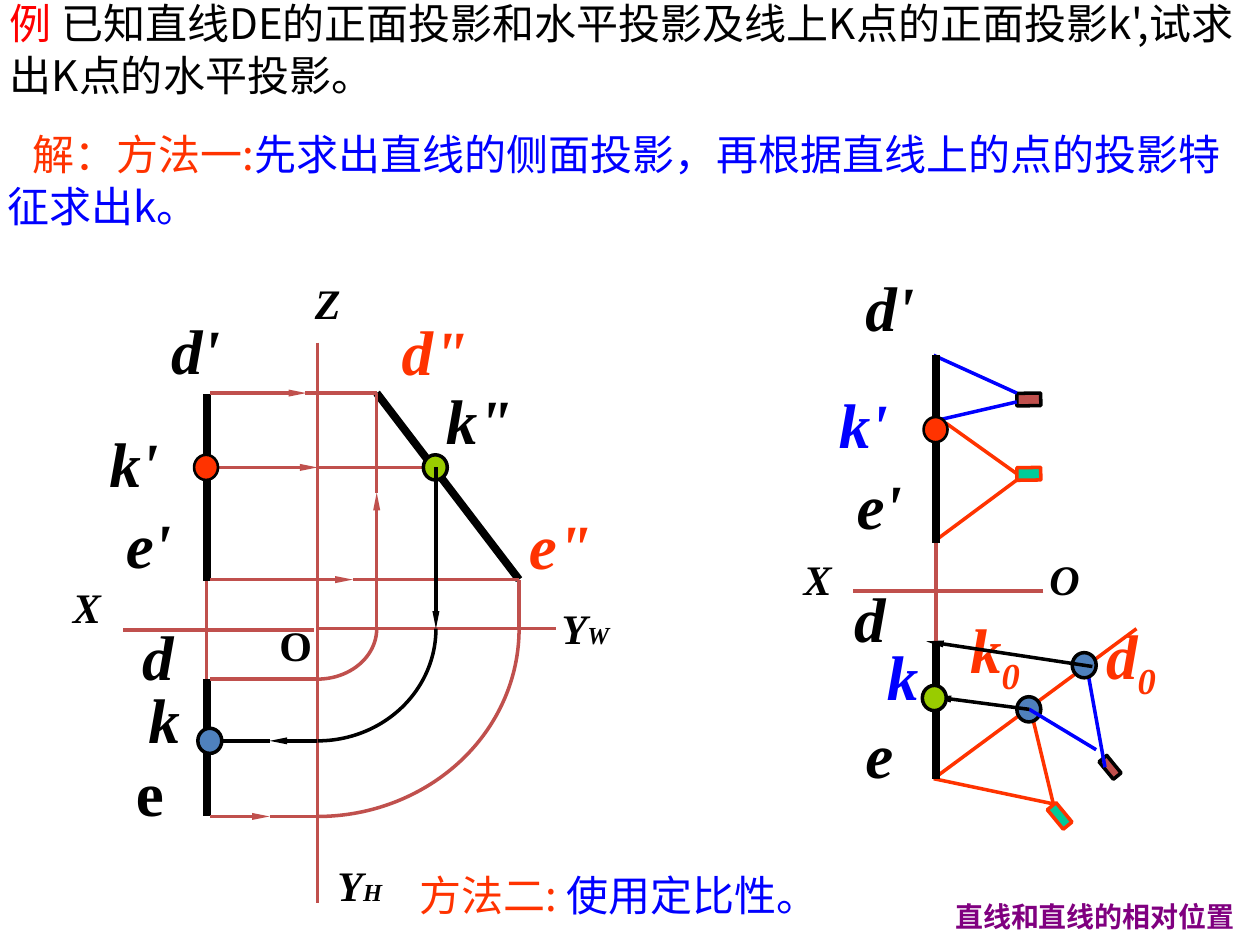
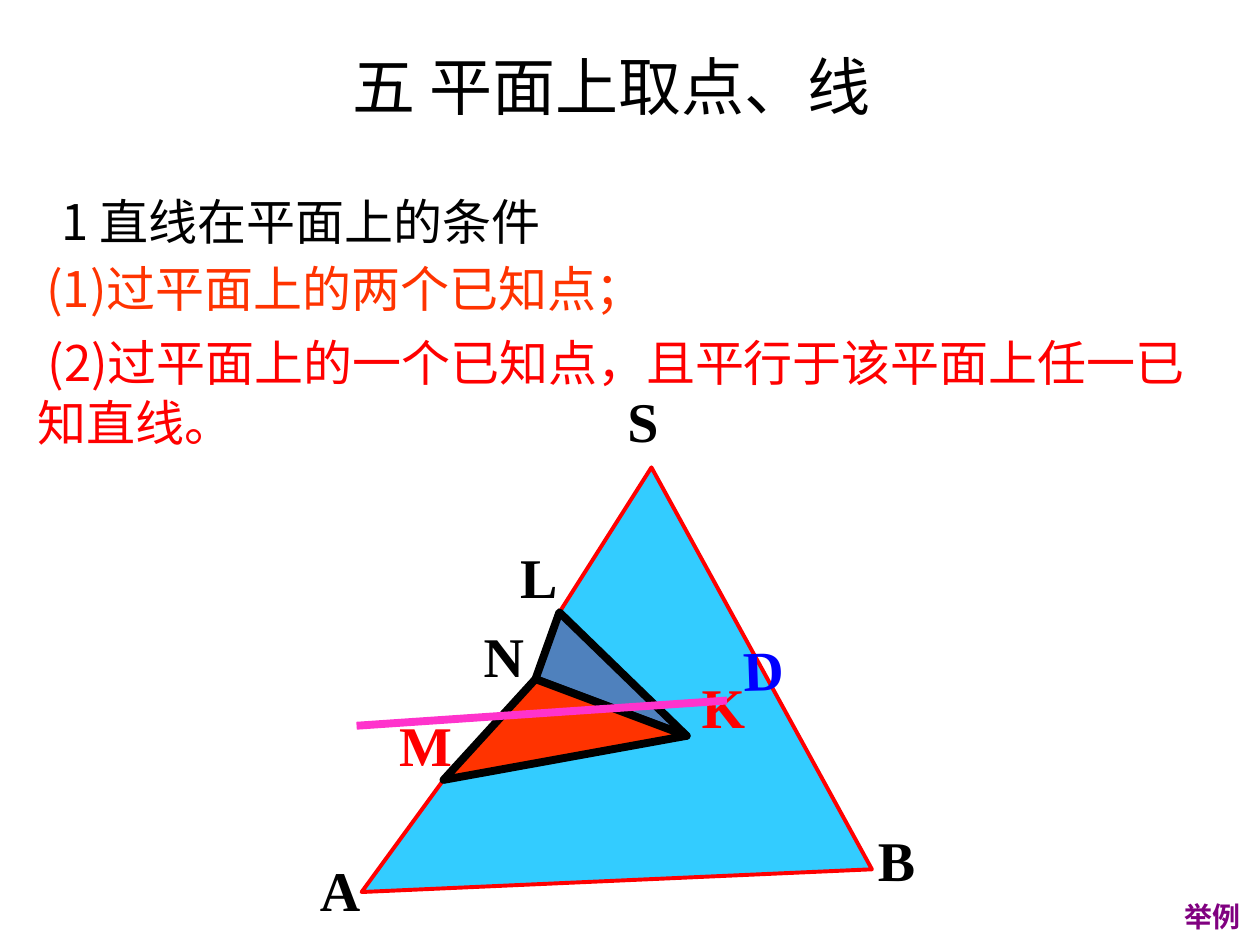
from lxml.etree import SubElement
from pptx import Presentation
from pptx.dml.color import RGBColor
from pptx.enum.shapes import MSO_CONNECTOR, MSO_SHAPE
from pptx.enum.text import MSO_ANCHOR, PP_ALIGN
from pptx.oxml.ns import qn
from pptx.util import Inches, Pt

BLACK = RGBColor(0x00, 0x00, 0x00)
RED = RGBColor(0xFF, 0x00, 0x00)
ORANGE = RGBColor(0xFF, 0x33, 0x00)
BRICK = RGBColor(0xC0, 0x50, 0x4D)
BLUE = RGBColor(0x00, 0x00, 0xFF)
STEEL = RGBColor(0x4F, 0x81, 0xBD)
LIME = RGBColor(0x99, 0xCC, 0x00)
TEAL = RGBColor(0x00, 0xCC, 0x99)
SKY = RGBColor(0x33, 0xCC, 0xFF)
PINK = RGBColor(0xFF, 0x33, 0xCC)
PURPLE = RGBColor(0x80, 0x00, 0x80)
CJK = "Noto Sans CJK SC"
LATIN = "Times New Roman"
FOOTER = {"name": "Cambria", "size": Pt(16), "bold": True}


def write(tf, paragraphs, fmt, pitch=None, indent=0, wrap=True):
    """Fill a frame; each paragraph is a list of (text, colour, extra format) runs."""
    tf.word_wrap = wrap
    for i, runs in enumerate(paragraphs):
        p = tf.paragraphs[0] if i == 0 else tf.add_paragraph()
        if pitch:
            p.line_spacing = Pt(pitch)
        if indent and i == 0:
            p._p.get_or_add_pPr().set("indent", str(Inches(indent)))
        for content, colour, extra in runs:
            r = p.add_run()
            r.text = content
            for name, value in {**fmt, **extra}.items():
                if name == "baseline":
                    r._r.get_or_add_rPr().set("baseline", str(value))
                else:
                    setattr(r.font, name, value)
            r.font.color.rgb = colour
            ea = SubElement(r._r.rPr, qn("a:ea"))
            ea.set("typeface", CJK)
    return tf


def line(s, x1, y1, x2, y2, colour, width=2, arrow=False):
    c = s.shapes.add_connector(MSO_CONNECTOR.STRAIGHT, *map(Inches, (x1, y1, x2, y2)))
    c.line.color.rgb = colour
    c.line.width = Pt(width)
    if arrow:
        tail = SubElement(c.line._get_or_add_ln(), qn("a:tailEnd"))
        for name, value in {"type": "triangle", "w": "sm", "len": "lg"}.items():
            tail.set(name, value)
    SubElement(c._element.spPr, qn("a:effectLst"))


prs = Presentation()
prs.slide_width, prs.slide_height = Inches(10), Inches(7.5)
s1 = prs.slides.add_slide(prs.slide_layouts[6])
s2 = prs.slides.add_slide(prs.slide_layouts[5])

# Footers
for s, caption, x, w in [(s1, "直线和直线的相对位置", 7.44, 2.5), (s2, "举例", 9.3, 0.65)]:
    tf = s.shapes.add_textbox(Inches(x), Inches(7.09), Inches(w), Inches(0.37)).text_frame
    write(tf, [[(caption, PURPLE, {})]], FOOTER, wrap=False)
    tf.vertical_anchor = MSO_ANCHOR.MIDDLE
    tf.paragraphs[0].alignment = PP_ALIGN.CENTER

# Running text of both slides: slide, box, size, line pitch, first indent, paragraphs
passages = [
    (s1, (-0.02, -0.08, 9.99, 0.95), 24, 29.7, 0, [[
        ("例", RED, {}),
        (" 已知直线DE的正面投影和水平投影及线上K点的正面投影k',试求出K点的水平投影。", BLACK, {})]]),
    (s1, (-0.04, 0.96, 10.02, 0.95), 24, 29.7, 0.2, [[
        ("解：方法一:", ORANGE, {}),
        ("先求出直线的侧面投影，再根据直线上的点的投影特征求出k。", BLUE, {})]]),
    (s1, (3.23, 6.84, 4.77, 0.5), 24, 29.7, 0, [[
        ("方法二:", ORANGE, {}), (" 使用定比性。", BLUE, {})]]),
    (s2, (0.27, 1.46, 6.92, 1.1), 28, 34.4, 0.12, [
        [("1 直线在平面上的条件", BLACK, {})],
        [("(1)过平面上的两个已知点；", ORANGE, {})]]),
    (s2, (0.2, 2.58, 9.42, 1.06), 28, 34.4, 0.08, [[
        ("(2)过平面上的一个已知点，且平行于该平面上任一已知直线。", RED, {})]]),
]
for s, box, size, pitch, indent, paragraphs in passages:
    tf = s.shapes.add_textbox(*map(Inches, box)).text_frame
    write(tf, paragraphs, {"name": CJK, "size": Pt(size)}, pitch, indent)
    for p in tf.paragraphs[1:]:
        p.space_before = Pt(4)

# Slide 1: projection axes, projectors and the thick projections of DE
XL, XR = 1.64, 7.43  # line DE in the left and right drawing
AXIS_Z, AXIS_Y = 2.52, 4.99
for x1, y1, x2, y2, colour, width, arrow in [
    (2.99, 3.12, 4.12, 4.6, BLACK, 4.5, False),
    (3.46, 3.71, AXIS_Z, 3.71, BRICK, 2, False),
    (1.67, 3.71, AXIS_Z, 3.71, BRICK, 2, True),
    (AXIS_Z, 2.72, AXIS_Z, 7.17, BRICK, 2, False),
    (AXIS_Z, AXIS_Y, 4.41, AXIS_Y, BRICK, 2, False),
    (2.49, 5, 0.98, 5, BRICK, 2, False),
    (XL, 4.61, XL, 5.4, BRICK, 2, False),
    (XL, 3.13, XL, 4.61, BLACK, 4.5, False),
    (XL, 5.39, XL, 6.48, BLACK, 4.5, False),
    (1.67, 5.39, AXIS_Z, 5.39, BRICK, 2, False),
    (2.99, AXIS_Y, 2.99, 3.91, BRICK, 2, True),
    (2.99, 3.91, 2.99, 3.12, BRICK, 2, False),
    (4.12, AXIS_Y, 4.12, 4.6, BRICK, 2, False),
    (1.67, 6.48, 2.14, 6.48, BRICK, 2, True),
    (2.14, 6.48, AXIS_Z, 6.48, BRICK, 2, False),
    (1.67, 3.12, 2.43, 3.12, BRICK, 2, True),
    (2.42, 3.12, 2.99, 3.12, BRICK, 2, False),
    (1.67, 4.6, 2.8, 4.6, BRICK, 2, True),
    (2.8, 4.6, 4.12, 4.6, BRICK, 2, False),
    (7.41, 6.18, 9.02, 4.99, ORANGE, 2, False),
    (8.28, 4.69, 6.77, 4.69, BRICK, 2, False),
    (XR, 4.31, XR, 5.1, BRICK, 2, False),
]:
    line(s1, x1, y1, x2, y2, colour, width, arrow)

# Quarter arcs around O that carry Y from one view to the other
for rx, ry, colour in [(0.47, 0.4, BRICK), (1.6, 1.49, BRICK), (0.94, 0.89, BLACK)]:
    sp = s1.shapes.add_shape(MSO_SHAPE.ARC, Inches(AXIS_Z - rx), Inches(AXIS_Y - ry),
                             Inches(2 * rx), Inches(2 * ry))
    sp.adjustments[0], sp.adjustments[1] = 0, 54  # 0 to 90 degrees
    sp.fill.background()
    sp.line.color.rgb = colour
    sp.line.width = Pt(2)
    sp.shadow.inherit = False

# Segment marks in the right drawing
for x, y, w, h, angle, fill, edge in [
    (8.07, 3.71, 0.19, 0.1, 179.2, TEAL, ORANGE),
    (8.07, 3.12, 0.19, 0.1, 179.2, BRICK, BLACK),
    (8.31, 6.43, 0.2, 0.09, 230.6, TEAL, ORANGE),
    (8.72, 6.05, 0.18, 0.08, 230.6, BRICK, BLACK),
]:
    sp = s1.shapes.add_shape(MSO_SHAPE.RECTANGLE, *map(Inches, (x, y, w, h)))
    sp.rotation = angle
    sp.fill.solid()
    sp.fill.fore_color.rgb = fill
    sp.line.color.rgb = edge
    sp.line.width = Pt(2)
    sp.shadow.inherit = False

for x1, y1, x2, y2, colour in [
    (8.07, 3.81, 7.41, 4.3, ORANGE), (8.07, 3.76, 7.51, 3.36, ORANGE),
    (8.07, 3.12, 7.41, 2.82, BLUE), (7.42, 3.34, 8.07, 3.19, BLUE),
    (7.41, 6.18, 8.36, 6.38, ORANGE), (8.36, 6.38, 8.17, 5.59, ORANGE),
    (8.77, 6.09, 8.62, 5.26, BLUE),
]:
    line(s1, x1, y1, x2, y2, colour)
line(s1, XR, 2.82, XR, 4.31, BLACK, 4.5)
line(s1, XR, 5.09, XR, 6.18, BLACK, 4.5)

# Letters: text, subscript, left, top, width, colour, size, italic
for content, sub, x, y, w, colour, size, italic in [
    ('d"', "", 3.09, 2.43, 0.76, ORANGE, 36, True),
    ('e"', "", 4.1, 3.97, 0.7, ORANGE, 36, True),
    ('k"', "", 3.44, 2.98, 0.76, BLACK, 36, True),
    ("Y", "W", 4.36, 4.73, 0.58, BLACK, 24, True),
    ("Y", "H", 2.58, 6.77, 0.56, BLACK, 24, True),
    ("Z", "", 2.4, 2.15, 0.41, BLACK, 24, True),
    ("X", "", 0.48, 4.57, 0.43, BLACK, 24, True),
    ("O", "", 2.12, 4.87, 0.46, BLACK, 24, False),
    ("d'", "", 1.26, 2.42, 0.62, BLACK, 36, True),
    ("k'", "", 0.77, 3.32, 0.62, BLACK, 36, True),
    ("e'", "", 0.9, 3.96, 0.56, BLACK, 36, True),
    ("d", "", 1.03, 4.85, 0.45, BLACK, 36, True),
    ("k", "", 1.08, 5.35, 0.45, BLACK, 36, True),
    ("e", "", 0.98, 5.93, 0.42, BLACK, 36, False),
    ("X", "", 6.28, 4.34, 0.43, BLACK, 24, True),
    ("O", "", 8.23, 4.34, 0.44, BLACK, 24, True),
    ("d'", "", 6.77, 2.08, 0.62, BLACK, 36, True),
    ("k'", "", 6.56, 3.01, 0.62, BLUE, 36, True),
    ("e'", "", 6.7, 3.65, 0.56, BLACK, 36, True),
    ("d", "", 6.68, 4.55, 0.45, BLACK, 36, True),
    ("k", "", 6.94, 5.01, 0.46, BLUE, 36, True),
    ("e", "", 6.77, 5.63, 0.42, BLACK, 36, True),
    ("k", "0", 7.6, 4.8, 0.65, ORANGE, 36, True),
    ("d", "0", 8.68, 4.84, 0.65, ORANGE, 36, True),
]:
    runs = [(content, colour, {})]
    if sub:
        runs.append((sub, colour, {"baseline": -25000} if sub == "0" else {"size": Pt(14)}))
    h = 0.5 if size == 24 else 0.7
    tf = s1.shapes.add_textbox(*map(Inches, (x, y, w, h))).text_frame
    write(tf, [runs], {"name": LATIN, "size": Pt(size), "bold": True, "italic": italic},
          wrap=False)

# Points, each followed by the lines that run over it
for cx, cy, fill, width, lines_over in [
    (1.64, 3.71, ORANGE, 1.5, []),
    (3.46, 3.71, LIME, 2, [(3.46, 3.71, 3.46, AXIS_Y, BLACK, 2, True),
                           (AXIS_Z, 5.88, 2.14, 5.88, BLACK, 2, True),
                           (2.14, 5.88, 1.67, 5.88, BLACK)]),
    (1.67, 5.88, STEEL, 2, []),
    (7.43, 3.41, ORANGE, 1.5, []),
    (8.17, 5.63, STEEL, 2, [(8.7, 5.95, 8.17, 5.63, BLUE),
                            (8.17, 5.63, 7.41, 5.53, BLACK, 2, True)]),
    (8.61, 5.28, STEEL, 2, [(8.67, 5.29, 7.35, 5.09, BLACK, 2, True)]),
    (7.42, 5.54, LIME, 2, []),
]:
    sp = s1.shapes.add_shape(MSO_SHAPE.FLOWCHART_CONNECTOR, Inches(cx - 0.1),
                             Inches(cy - 0.1), Inches(0.19), Inches(0.2))
    sp.fill.solid()
    sp.fill.fore_color.rgb = fill
    sp.line.color.rgb = BLACK
    sp.line.width = Pt(width)
    sp.shadow.inherit = False
    for segment in lines_over:
        line(s1, *segment)

# Slide 2: title
title = s2.shapes.title
title.left, title.top, title.width, title.height = map(Inches, (0.35, 0.05, 9, 1.25))
write(title.text_frame, [[("五 平面上取点、线", BLACK, {})]], {"name": CJK, "size": Pt(36)})
title.text_frame.vertical_anchor = MSO_ANCHOR.MIDDLE
title.text_frame.paragraphs[0].alignment = PP_ALIGN.CENTER

# Slide 2: plane SAB with the two triangles on it
A, B, S = (2.87, 7.08), (6.92, 6.9), (5.17, 3.71)
L, K, M, N = (4.44, 4.86), (5.45, 5.84), (3.52, 6.19), (4.25, 5.39)
for corners, fill, edge, width in [
    ((A, B, S, L, K, M), SKY, RED, 2.25),
    ((L, N, K), STEEL, BLACK, 4.5),
    ((M, N, K), ORANGE, BLACK, 4.5),
]:
    points = [(Inches(x), Inches(y)) for x, y in corners]
    builder = s2.shapes.build_freeform(*points[0])
    builder.add_line_segments(points[1:], close=True)
    sp = builder.convert_to_shape()
    sp.fill.solid()
    sp.fill.fore_color.rgb = fill
    sp.line.color.rgb = edge
    sp.line.width = Pt(width)
    SubElement(sp.line._get_or_add_ln(), qn("a:round"))
    sp.shadow.inherit = False

for letter, x, y, w, colour, angle in [
    ("A", 2.44, 6.74, 0.52, BLACK, 0), ("S", 4.88, 3.02, 0.45, BLACK, 0),
    ("L", 4.03, 4.26, 0.5, BLACK, 0), ("N", 3.74, 4.88, 0.52, BLACK, 0),
    ("M", 3.07, 5.59, 0.62, RED, 0), ("B", 6.87, 6.5, 0.47, BLACK, 0),
    ("K", 5.47, 5.29, 0.55, RED, 0), ("D", 5.8, 4.99, 0.52, BLUE, 358),
]:
    sp = s2.shapes.add_textbox(*map(Inches, (x, y, w, 0.63)))
    sp.rotation = angle
    write(sp.text_frame, [[(letter, colour, {})]],
          {"name": LATIN, "size": Pt(32), "bold": True}, wrap=False)
line(s2, 2.83, 5.76, 5.77, 5.56, PINK, 4.5)

prs.save("out.pptx")
